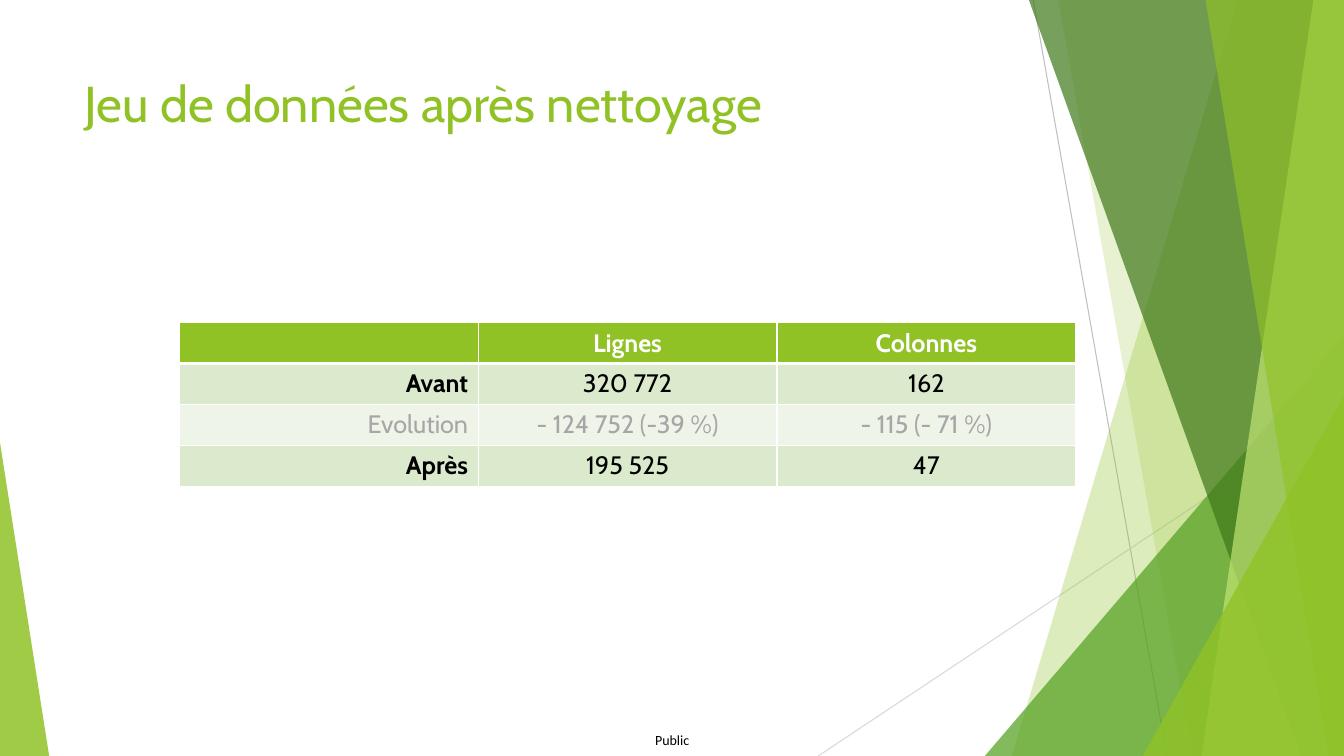
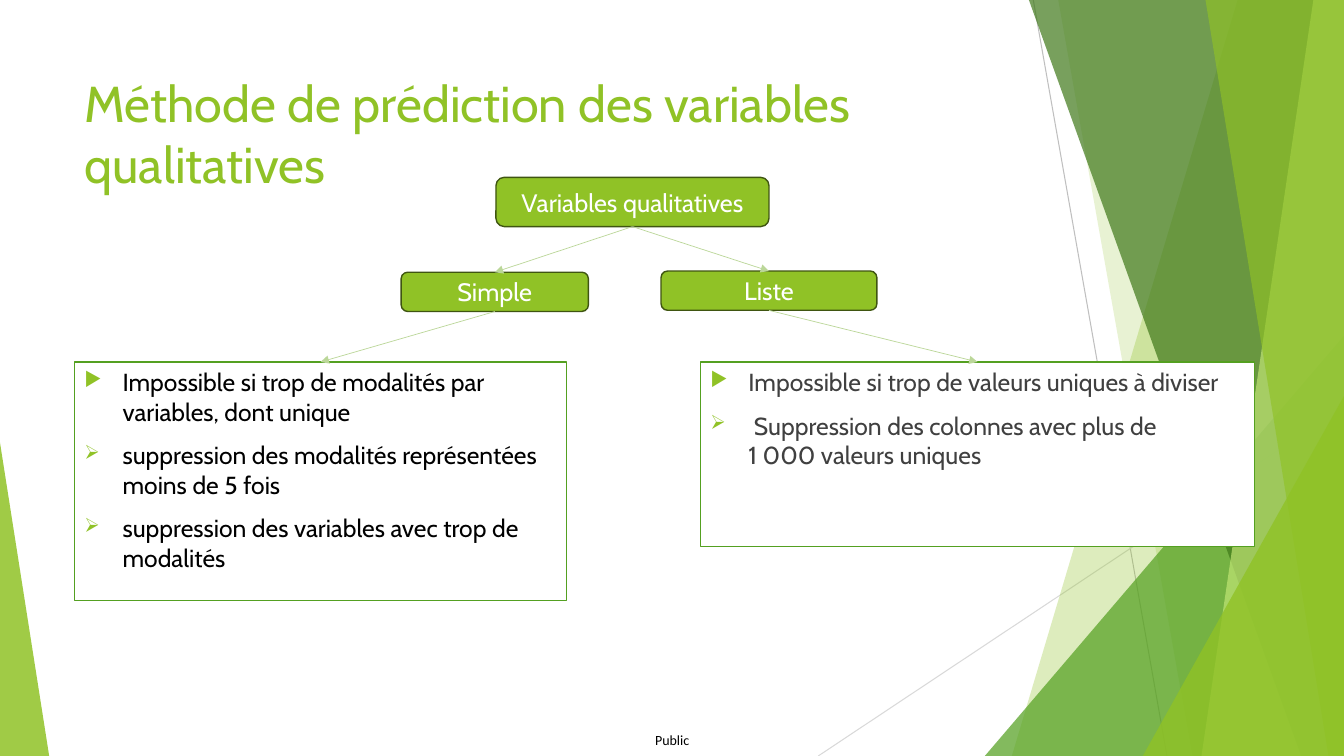
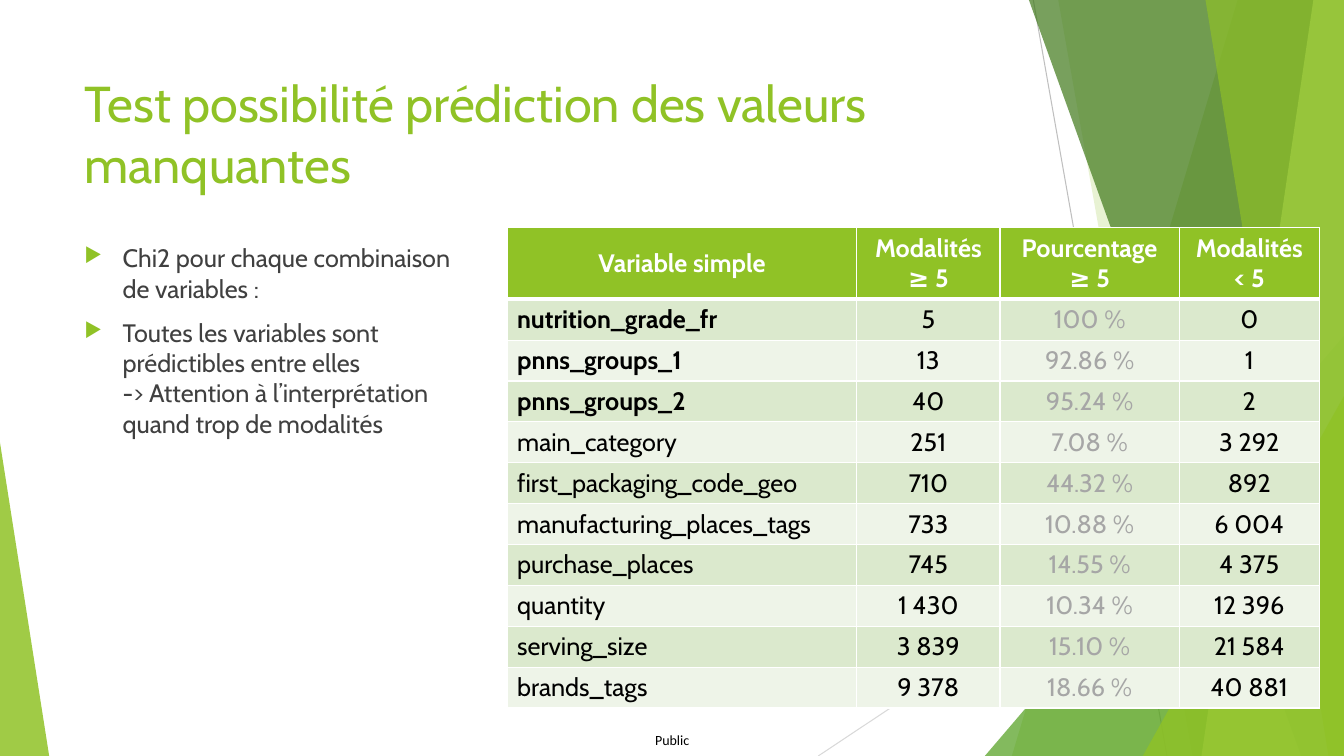
from lxml import etree
from pptx import Presentation
from pptx.dml.color import RGBColor
from pptx.enum.shapes import MSO_CONNECTOR, MSO_SHAPE
from pptx.enum.text import MSO_ANCHOR, PP_ALIGN
from pptx.oxml.ns import qn
from pptx.util import Cm, Pt

RECT, ROUNDED = MSO_SHAPE.RECTANGLE, MSO_SHAPE.ROUNDED_RECTANGLE
TRIANGLE = MSO_SHAPE.ISOSCELES_TRIANGLE
STRAIGHT = MSO_CONNECTOR.STRAIGHT
TOP, MIDDLE = MSO_ANCHOR.TOP, MSO_ANCHOR.MIDDLE
LEFT, CENTER, RIGHT = PP_ALIGN.LEFT, PP_ALIGN.CENTER, PP_ALIGN.RIGHT

WIDTH, HEIGHT = 33.87, 19.05
FONT, FOOTER_FONT = "Cabin", "Calibri"
LIME, GREEN, FOREST, PALE_LIME = "90C226", "54A021", "3F7819", "C0E474"
BOX_EDGE, ARROW = "3F5511", "BBD799"
ROW_FILLS = ("DBE9CD", "EEF4E8")
WHITE, BLACK, DARK, MUTED = "FFFFFF", "000000", "404040", "A6A6A6"
PLAY, CHEVRON = "▶", "➢"
ROW_HEIGHT = 1.03


def rgb(color):
    return RGBColor.from_string(color)


def add_xml(parent, tag, **attrs):
    return etree.SubElement(parent, qn(tag), {k: str(v) for k, v in attrs.items()})


def write(tf, *texts, size=18, color=BLACK, bold=False, align=LEFT, font=FONT,
          anchor=TOP, wrap=True, bullets=""):
    """Fill a text frame, one paragraph per text; bullets holds one mark for each."""
    tf.word_wrap = wrap
    tf.vertical_anchor = anchor
    for i, text in enumerate(texts):
        p = tf.paragraphs[0] if i == 0 else tf.add_paragraph()
        p.text, p.alignment = text, align
        for r in p.runs:
            f = r.font
            f.name, f.size, f.bold = font, Pt(size), bold
            f.color.rgb = rgb(color)
        if bullets:
            add_bullet(p, bullets[i])


def add_bullet(p, mark):
    p.space_before = Pt(10)
    pPr = p._p.get_or_add_pPr()
    pPr.set("marL", str(Cm(0.96)))
    pPr.set("indent", str(-Cm(0.96)))
    add_xml(add_xml(pPr, "a:buClr"), "a:srgbClr", val=LIME)
    add_xml(pPr, "a:buSzPct", val=80000)
    add_xml(pPr, "a:buChar", char=mark)


def paint(sp, fill, alpha=100, line=None):
    sp.shadow.inherit = False
    sp.fill.solid()
    sp.fill.fore_color.rgb = rgb(fill)
    if alpha < 100:
        clr = sp._element.spPr.find(qn("a:solidFill")).find(qn("a:srgbClr"))
        add_xml(clr, "a:alpha", val=alpha * 1000)
    if line:
        sp.line.color.rgb = rgb(line)
        sp.line.width = Pt(1)
    else:
        sp.line.fill.background()


def add_box(s, kind, x, y, w, h, fill, **look):
    sp = s.shapes.add_shape(kind, Cm(x), Cm(y), Cm(w), Cm(h))
    paint(sp, fill, **look)
    return sp


def add_text(s, x, y, w, h, *texts, **style):
    tb = s.shapes.add_textbox(Cm(x), Cm(y), Cm(w), Cm(h))
    write(tb.text_frame, *texts, **style)
    return tb


def add_line(s, color, width, start=(0, 0), end=(0, 0), arrow=False):
    cx = s.shapes.add_connector(STRAIGHT, *map(Cm, start + end))
    cx.line.color.rgb = rgb(color)
    cx.line.width = Pt(width)
    spPr = cx._element.spPr
    if arrow:
        add_xml(spPr.find(qn("a:ln")), "a:tailEnd", type="triangle")
    add_xml(spPr, "a:effectLst")
    return cx


def add_arrow(s, above, below):
    cx = add_line(s, ARROW, 0.5, arrow=True)
    cx.begin_connect(above, 2)
    cx.end_connect(below, 0)


def draw_facets(s, x, y, w, h):
    """Draw the translucent facets; their offsets run back from the box's right edge."""
    right, bottom = x + w, y + h

    def band(top_offset, bottom_offset, color, alpha):
        fb = s.shapes.build_freeform(Cm(right - top_offset), Cm(y))
        fb.add_line_segments([(Cm(right), Cm(y)), (Cm(right), Cm(bottom)),
                              (Cm(right - bottom_offset), Cm(bottom))])
        paint(fb.convert_to_shape(), color, alpha)

    def corner(left, width, height, apex, color, alpha):
        sp = add_box(s, TRIANGLE, left, bottom - height, width, height, color, alpha=alpha)
        sp.adjustments[0] = apex

    add_line(s, "BFBFBF", 0.75, (right - 7.83, y), (right - 4.46, bottom))
    add_line(s, "D9D9D9", 0.75, (right, y + 10.24), (right - 13.25, bottom))
    band(2.68, 8.37, LIME, 30)
    band(7.2, 3.82, LIME, 20)
    corner(right - 9.05, 9.05, 10.59, 1, GREEN, 72)
    band(7.94, 1.08, FOREST, 70)
    band(0.77, 3.59, PALE_LIME, 70)
    band(3.49, 0.39, LIME, 65)
    corner(right - 5.07, 5.07, 9.07, 1, LIME, 80)
    corner(x, 1.24, 7.9, 0, LIME, 85)


def add_slide(prs, title):
    """Add a blank slide with the facets, footer and title."""
    s = prs.slides.add_slide(prs.slide_layouts[6])
    draw_facets(s, 0, 0, WIDTH, HEIGHT)
    tf = add_text(s, 16.51, 18.44, 0.94, 0.43, "Public", size=10,
                  font=FOOTER_FONT, wrap=False).text_frame
    tf.margin_left = tf.margin_right = tf.margin_top = tf.margin_bottom = 0
    add_text(s, 1.88, 1.7, 23.88, 3.66, title, size=36, color=LIME)
    return s


def set_cell(cell, text, fill, top, bottom, **style):
    """Fill a cell and give it white borders, top and bottom in points."""
    cell.fill.solid()
    cell.fill.fore_color.rgb = rgb(fill)
    tcPr = cell._tc.get_or_add_tcPr()
    for i, (side, width) in enumerate((("L", 1), ("R", 1), ("T", top), ("B", bottom))):
        ln = add_xml(tcPr, f"a:ln{side}", w=Pt(width))
        add_xml(add_xml(ln, "a:solidFill"), "a:srgbClr", val=WHITE)
        tcPr.insert(i, ln)
    cell.vertical_anchor = MIDDLE
    write(cell.text_frame, text, anchor=MIDDLE, **style)


def draw_table(s, x, y, widths, header_height, rows, body_style):
    """Draw a header and striped rows; body_style(row, column) gives a cell's format."""
    heights = [header_height] + [ROW_HEIGHT] * (len(rows) - 1)
    table = s.shapes.add_table(len(rows), len(widths), Cm(x), Cm(y),
                               Cm(sum(widths)), Cm(sum(heights))).table
    for column, width in zip(table.columns, widths):
        column.width = Cm(width)
    for i, row in enumerate(rows):
        table.rows[i].height = Cm(heights[i])
        for j, text in enumerate(row):
            if i == 0:
                fill, style = LIME, dict(color=WHITE, bold=True, align=CENTER)
            else:
                fill, style = ROW_FILLS[(i - 1) % 2], body_style(i, j)
            set_cell(table.cell(i, j), text, fill, top=3 if i == 1 else 1,
                     bottom=3 if i == 0 else 1, **style)


def draw_tree(s, x, y):
    """Draw the variable types and, below each, the panel of its rules."""
    def node(dx, dy, w, h, text):
        sp = add_box(s, ROUNDED, x + dx, y + dy, w, h, LIME, line=BOX_EDGE)
        write(sp.text_frame, text, color=WHITE, align=CENTER, anchor=MIDDLE)
        return sp

    def panel(dx, w, h, color, *rules):
        sp = add_box(s, RECT, x + dx, y + 4.65, w, h, WHITE, line=GREEN)
        write(sp.text_frame, *rules, size=17.6, color=color,
              bullets=PLAY + CHEVRON * (len(rules) - 1))
        return sp

    root = node(10.62, 0, 6.88, 1.24, "Variables qualitatives")
    simple = node(8.23, 2.39, 4.72, 0.99, "Simple")
    liste = node(14.78, 2.36, 5.44, 0.99, "Liste")
    simple_rules = panel(0, 12.4, 6.02, BLACK,
                         "Impossible si trop de modalités par variables, dont unique",
                         "suppression des modalités représentées moins de 5 fois",
                         "suppression des variables avec trop de modalités")
    liste_rules = panel(15.77, 13.97, 4.65, DARK,
                        "Impossible si trop de valeurs uniques à diviser",
                        " Suppression des colonnes avec plus de\n1 000 valeurs uniques")
    for above, below in ((root, simple), (root, liste),
                         (simple, simple_rules), (liste, liste_rules)):
        add_arrow(s, above, below)


def cleaning_style(i, j):
    evolution = i == 2
    return dict(color=MUTED if evolution else BLACK, bold=j == 0 and not evolution,
                align=RIGHT if j == 0 else CENTER)


def variable_style(i, j):
    return dict(color=MUTED if j == 2 else BLACK, bold=j == 0 and i <= 3,
                align=LEFT if j == 0 else CENTER)


CLEANING_ROWS = [
    ("", "Lignes", "Colonnes"),
    ("Avant", "320 772", "162"),
    ("Evolution", "- 124 752 (-39 %)", "- 115 (- 71 %)"),
    ("Après", "195 525", "47"),
]
VARIABLE_ROWS = [
    ("Variable simple", "Modalités ≥ 5", "Pourcentage ≥ 5", "Modalités < 5"),
    ("nutrition_grade_fr", "5", "100 %", "0"),
    ("pnns_groups_1", "13", "92.86 %", "1"),
    ("pnns_groups_2", "40", "95.24 %", "2"),
    ("main_category", "251", "7.08 %", "3 292"),
    ("first_packaging_code_geo", "710", "44.32 %", "892"),
    ("manufacturing_places_tags", "733", "10.88 %", "6 004"),
    ("purchase_places", "745", "14.55 %", "4 375"),
    ("quantity", "1 430", "10.34 %", "12 396"),
    ("serving_size", "3 839", "15.10 %", "21 584"),
    ("brands_tags", "9 378", "18.66 %", "40 881"),
]


def main():
    prs = Presentation()
    prs.slide_width, prs.slide_height = Cm(WIDTH), Cm(HEIGHT)

    s = add_slide(prs, "Jeu de données après nettoyage")
    draw_table(s, 4.52, 8.13, [7.53] * 3, ROW_HEIGHT, CLEANING_ROWS, cleaning_style)

    s = add_slide(prs, "Méthode de prédiction des variables qualitatives")
    draw_tree(s, 1.88, 4.47)

    s = add_slide(prs, "Test possibilité prédiction des valeurs manquantes")
    add_text(s, 1.88, 5.99, 10.29, 10.77,
             "Chi2 pour chaque combinaison de variables :",
             "Toutes les variables sont prédictibles entre elles\n"
             "-> Attention à l’interprétation quand trop de modalités",
             color=DARK, bullets=PLAY * 2)
    draw_table(s, 12.78, 5.74, [8.81, 3.61, 4.52, 3.53], 1.8, VARIABLE_ROWS,
               variable_style)

    prs.save("out.pptx")


if __name__ == "__main__":
    main()
